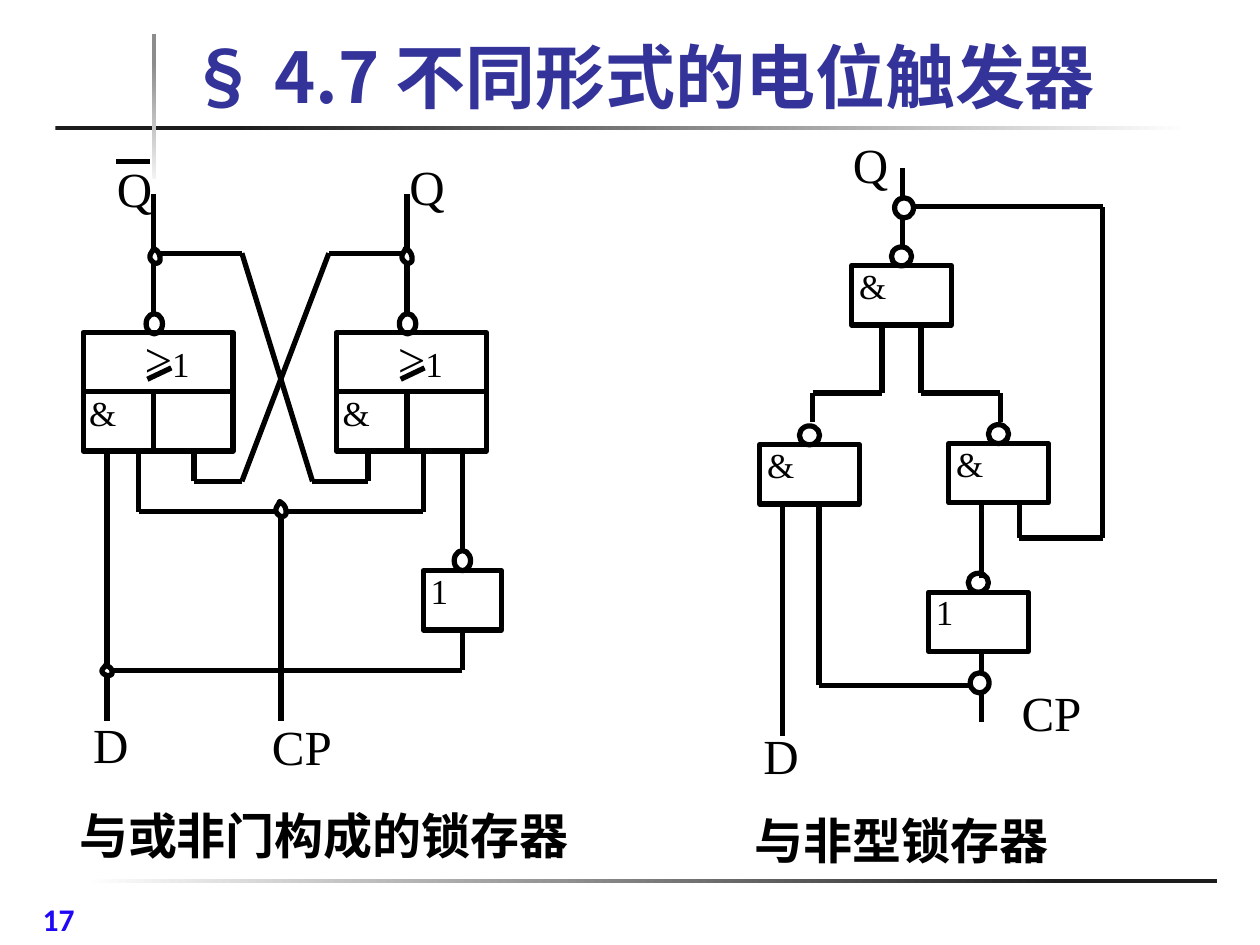
from lxml import etree
from pptx import Presentation
from pptx.dml.color import RGBColor
from pptx.enum.shapes import MSO_CONNECTOR, MSO_SHAPE
from pptx.enum.text import MSO_ANCHOR
from pptx.oxml.ns import qn
from pptx.util import Inches, Pt

RECT, OVAL = MSO_SHAPE.RECTANGLE, MSO_SHAPE.OVAL
STRAIGHT = MSO_CONNECTOR.STRAIGHT
BOTTOM = MSO_ANCHOR.BOTTOM

BLACK = RGBColor(0x00, 0x00, 0x00)
WHITE = RGBColor(0xFF, 0xFF, 0xFF)
INK = RGBColor(0x1C, 0x1C, 0x1C)
SILVER = RGBColor(0xF2, 0xF2, 0xF2)
GREY = RGBColor(0x8C, 0x8C, 0x8C)
INDIGO = RGBColor(0x33, 0x33, 0x99)
BLUE = RGBColor(0x1F, 0x08, 0xF8)

SERIF, HAN, SANS = "Times New Roman", "Noto Sans CJK SC", "Calibri"
CELL = Inches(0.01)  # the slide is a grid of 1000 columns by 750 rows
COLUMNS, ROWS = 1000, 750
STROKE = Pt(3)

# Bezier segments of a hand-drawn junction ring, in cells around its centre
RING_START = (0, 6)
RING = [((1, 6), (3, 6), (4, 4)), ((5, -3), (0, -5), (-1, -6)),
        ((-2, -3), (-4, -2), (-4, 1)), ((-4, 4), (0, 6), (0, 6))]


def ring_points(steps=6):
    points, start = [], RING_START
    for c1, c2, end in RING:
        for step in range(1, steps + 1):
            t = step / steps
            weights = ((1 - t) ** 3, 3 * t * (1 - t) ** 2, 3 * t * t * (1 - t), t ** 3)
            corners = (start, c1, c2, end)
            points.append(tuple(sum(w * c[axis] for w, c in zip(weights, corners))
                                for axis in (0, 1)))
        start = end
    return points


class Region:
    """Part of the slide whose members are placed in cells from its corner."""

    def __init__(self, slide, left, top):
        self.shapes, self.left, self.top = slide.shapes, left, top

    def at(self, x, y):
        return round((self.left + x) * CELL), round((self.top + y) * CELL)

    def text(self, x, y, width, height, words, size, font=SERIF, color=BLACK,
             bold=False, wrap=False):
        box = self.shapes.add_textbox(*self.at(x, y), width * CELL, height * CELL)
        box.text_frame.word_wrap = wrap
        paragraph = box.text_frame.paragraphs[0]
        paragraph.text = words
        paragraph.font.size, paragraph.font.name = Pt(size), font
        paragraph.font.color.rgb, paragraph.font.bold = color, bold
        if font == HAN:
            properties = paragraph._p.pPr.find(qn("a:defRPr"))
            latin = properties.find(qn("a:latin"))
            east_asian = etree.Element(qn("a:ea"), typeface=font)
            latin.addnext(east_asian)
        return box

    def outline(self, kind, x, y, width, height, fill=None):
        shape = self.shapes.add_shape(kind, *self.at(x, y), width * CELL, height * CELL)
        return ink(shape, fill)

    def wire(self, *points):
        """Join the points with straight segments and return these."""
        segments = []
        for start, end in zip(points, points[1:]):
            line = self.shapes.add_connector(STRAIGHT, *self.at(*start), *self.at(*end))
            line.line.color.rgb, line.line.width = BLACK, STROKE
            etree.SubElement(line._element.spPr, qn("a:effectLst"))
            segments.append(line)
        return segments

    def ring(self, x, y, stretch=1):
        points = [self.at(x + dx, y + dy * stretch) for dx, dy in ring_points()]
        builder = self.shapes.build_freeform(*points[-1], scale=1.0)
        builder.add_line_segments(points, close=True)
        ink(builder.convert_to_shape(), WHITE)

    def gate(self, x, y, width, symbol, bubble):
        """Single gate with an inverting bubble centred on its top."""
        body = self.outline(RECT, x, y, width, 47)
        bubble_width, bubble_height = bubble
        self.outline(OVAL, x + (width - bubble_width) / 2, y - bubble_height, *bubble)
        self.text(x - 4, y - 6, 51, 43, symbol, 20)
        return body

    def and_or_gate(self, x, y):
        body = self.outline(RECT, x, y, 119, 94)
        bar, = self.wire((x, y + 47), (x + 119, y + 47))
        bar.begin_connect(body, 1)
        bar.end_connect(body, 3)
        self.wire((x + 56, y + 47), (x + 56, y + 94))
        self.outline(OVAL, x + 50, y - 15, 13, 16)
        sign = self.text(x + 39, y - 8, 56, 57, ">", 28).text_frame.paragraphs[0]
        one = sign.add_run()
        one.text, one.font.size = "1", Pt(20)
        self.wire((x + 70, y + 28), (x + 51, y + 37))
        self.text(x - 5, y + 42, 51, 43, "&", 20)


def ink(shape, fill):
    shape.shadow.inherit = False
    if fill is None:
        shape.fill.background()
    else:
        shape.fill.solid()
        shape.fill.fore_color.rgb = fill
    shape.line.color.rgb, shape.line.width = BLACK, STROKE
    return shape


def and_or_latch(region):
    for x in (6, 207):
        region.and_or_gate(x, 144)
    inverter = region.gate(276, 333, 62, "1", (13, 16))
    for path_points in (
            [(62, 129), (62, 34)], [(263, 129), (263, 34)],
            [(62, 81), (132, 81), (188, 262), (232, 262), (232, 239)],
            [(263, 81), (201, 81), (132, 262), (94, 262), (94, 239)],
            [(50, 239), (50, 286), (276, 286), (276, 239)],
            [(307, 317), (307, 239)], [(163, 286), (163, 452)],
            [(25, 239), (25, 452)], [(32, 8), (59, 8)]):
        region.wire(*path_points)
    feed = region.wire((307, 380), (307, 412), (25, 412))
    feed[0].begin_connect(inverter, 2)
    for x, y, stretch in ((25, 412, 0.7), (163, 284, 1), (263, 83, 1), (63, 83, 1)):
        region.ring(x, y, stretch)
    for x, y, width, name in ((23, 1, 50, "Q"), (255, -1, 50, "Q"),
                              (4, 442, 48, "D"), (146, 444, 68, "CP")):
        region.text(x, y, width, 57, name, 28)


def nand_latch(region):
    for path_points in (
            [(55, 235), (55, 212), (110, 212), (110, 157)],
            [(204, 235), (204, 212), (141, 212), (141, 157)],
            [(189, 359), (189, 297)], [(189, 419), (189, 473)],
            [(31, 298), (31, 484)], [(60, 299), (60, 344), (187, 344)][:1] +
            [(60, 444), (187, 444)], [(126, 95), (126, 33)],
            [(219, 297), (219, 327), (285, 327), (285, 64), (126, 64)]):
        region.wire(*path_points)
    for x, y, symbol in ((86, 111, "&"), (13, 253, "&"), (163, 252, "&"), (147, 370, "1")):
        region.gate(x, y, 79, symbol, (16, 15))
    for x, y in ((120, 57), (180, 434)):
        region.outline(OVAL, x, y, 15, 16, WHITE)
    for x, y, width, name in ((77, 2, 50, "Q"), (211, 437, 68, "CP"), (6, 471, 48, "D")):
        region.text(x, y, width, 57, name, 28)


def frame(region):
    """Fading rules, title, captions and page number."""
    for box, angle, stops in (
            ((66, 698, 900, 3), 0, ((0, WHITE), (0.87, INK))),
            ((44, 100, 900, 3), 0, ((0.16, INK), (1, WHITE))),
            ((121, 27, 3, 115), 90, ((0, SILVER), (0.8, GREY)))):
        rule = region.outline(RECT, *box)
        rule.line.fill.background()
        rule.fill.gradient()
        rule.fill.gradient_angle = angle
        for stop, (position, color) in zip(rule.fill.gradient_stops, stops):
            stop.position, stop.color.rgb = position, color
    title = region.text(140, 34, 860, 64, "§ 4.7 不同形式的电位触发器", 40, HAN, INDIGO, True, True)
    title.text_frame.vertical_anchor = BOTTOM
    region.text(24, 709, 99, 37, "17", 18, SANS, BLUE, True, True)
    for x, y, width, words in ((53, 634, 434, "与或非门构成的锁存器"),
                               (589, 638, 305, "与非型锁存器")):
        caption = region.text(x, y, width, 57, words, 28, HAN, BLACK, True)
        caption.line.color.rgb, caption.line.width = WHITE, STROKE


def main():
    deck = Presentation()
    deck.slide_width, deck.slide_height = COLUMNS * CELL, ROWS * CELL
    slide = deck.slides.add_slide(deck.slide_layouts[6])
    frame(Region(slide, 0, 0))
    and_or_latch(Region(slide, 60, 120))
    nand_latch(Region(slide, 590, 100))
    deck.save("out.pptx")


if __name__ == "__main__":
    main()
